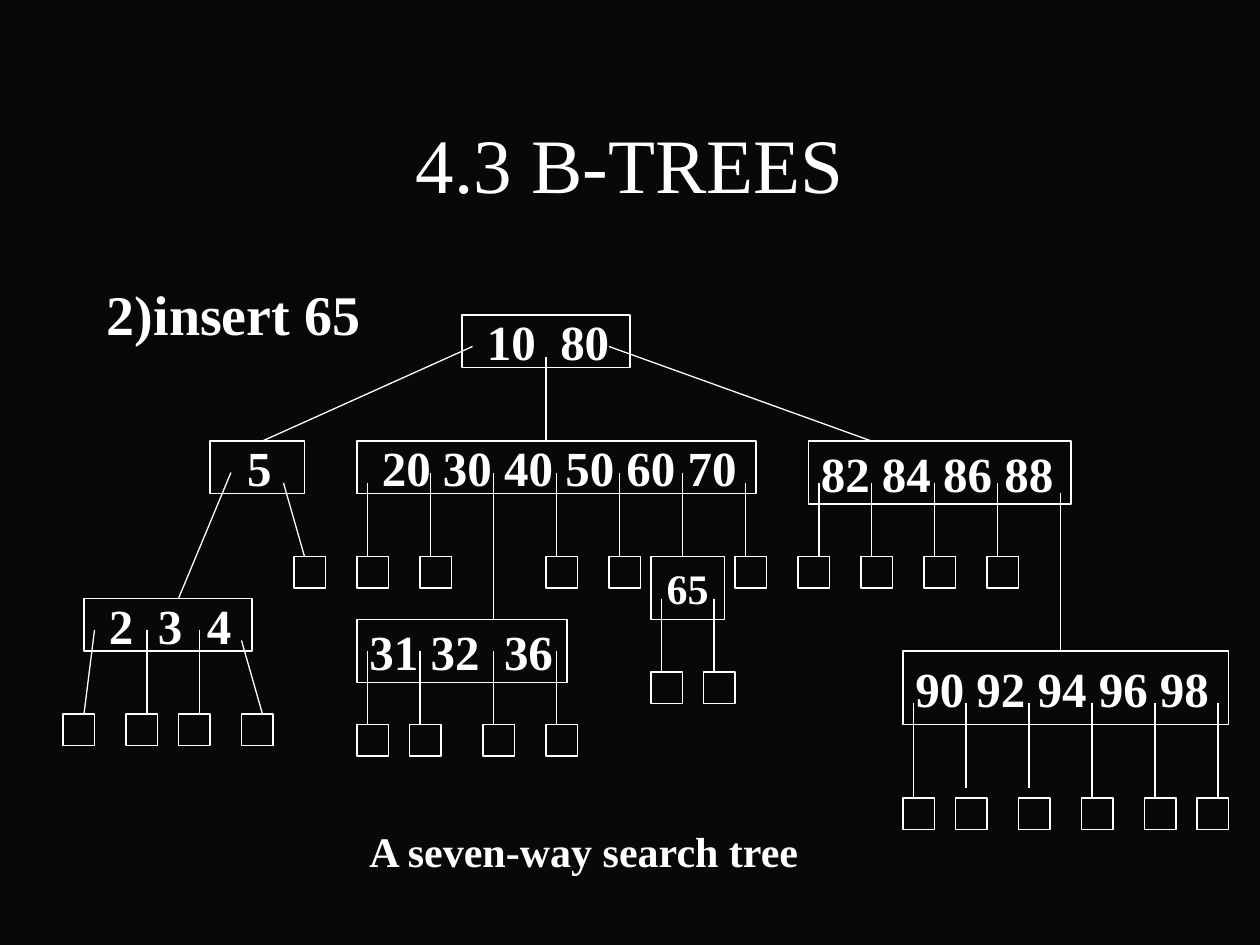
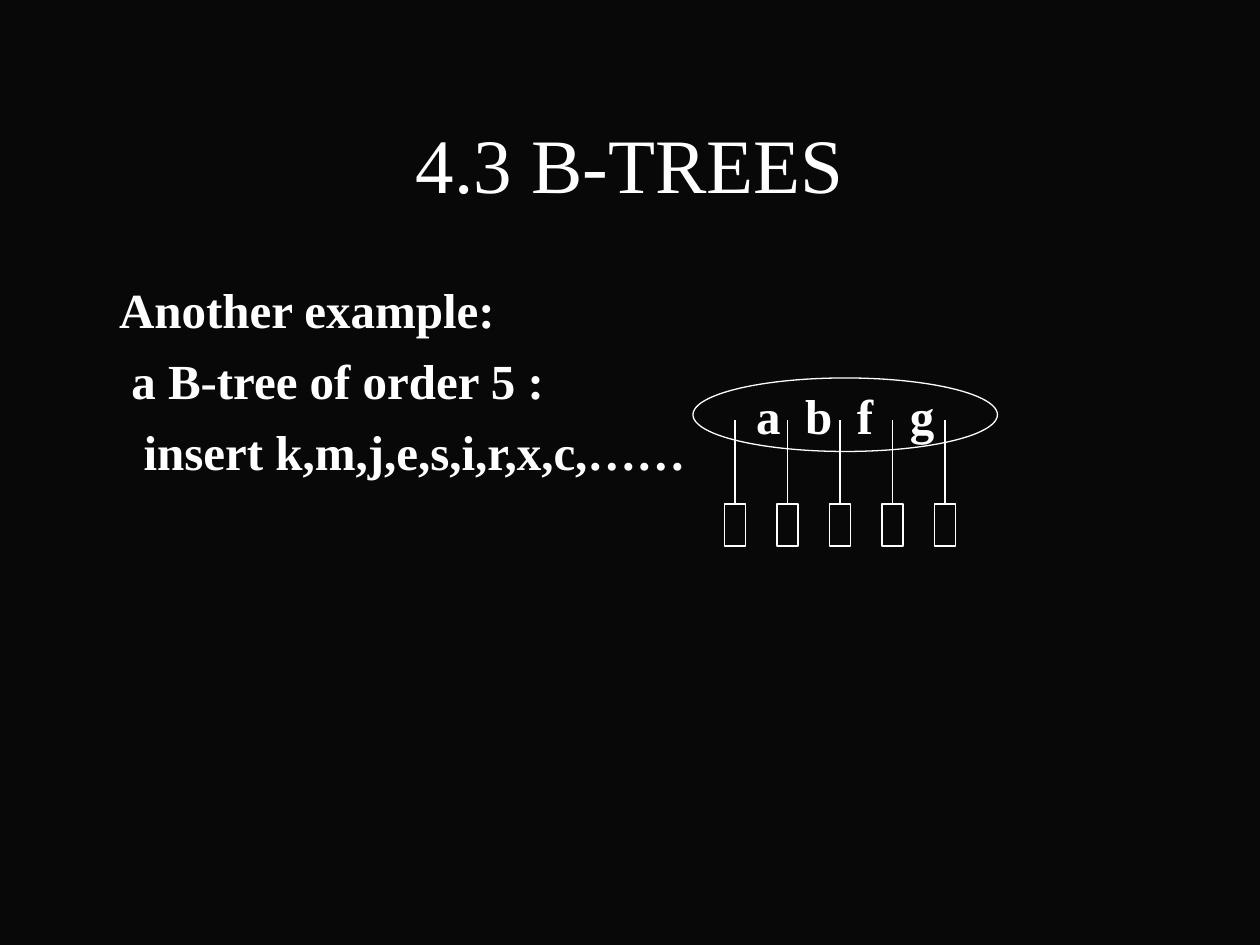
from dataclasses import dataclass
from pptx import Presentation
from pptx.dml.color import RGBColor
from pptx.enum.shapes import MSO_CONNECTOR, MSO_SHAPE
from pptx.enum.text import MSO_ANCHOR, MSO_AUTO_SIZE, PP_ALIGN
from pptx.oxml.ns import qn
from pptx.util import Emu, Inches, Pt
from lxml.etree import SubElement


@dataclass(frozen=True)
class Theme:
    ink: RGBColor = RGBColor(0xFF, 0xFF, 0xFF)
    background: RGBColor = RGBColor(0x08, 0x08, 0x08)
    font: str = "Times New Roman"
    title: int = 44
    heading: int = 32
    key: int = 28
    small: int = 24
    line: float = 0.75


THEME = Theme()
COLUMNS, ROWS = 120, 90
WIDTH, HEIGHT = Inches(10), Inches(7.5)
SPACE = Pt(THEME.key / 4)

TITLE = "4.3 B-TREES"
TITLE_PLACE = (9, 8, 102, 15)
BODY_PLACE = (9, 26, 102, 54)
CAPTION = "A seven-way search tree"
CAPTION_PLACE = (34, 78, 44, 6)

INSERT_LINES = [("2)insert 65", 0)]
EXAMPLE_LINES = [
    ("Another example:", 1),
    ("a B-tree of order 5 :", 2),
    ("insert k,m,j,e,s,i,r,x,c,……", 3),
]

SEARCH_NODES = [
    {"place": (44, 30, 16, 5), "keys": "10 80", "gaps": [2], "lead": 1},
    {"place": (20, 42, 9, 5), "keys": "5", "lead": 2},
    {"place": (34, 42, 38, 5), "keys": "20 30 40 50 60 70", "lead": 1},
    {"place": (77, 42, 25, 6), "keys": "82 84 86 88"},
    {"place": (8, 57, 16, 5), "keys": "2 3 4", "gaps": [2, 2], "lead": 1},
    {"place": (34, 59, 20, 6), "keys": "31 32 36", "gaps": [1, 2]},
    {"place": (62, 53, 7, 6), "keys": "65", "size": THEME.small, "align": PP_ALIGN.CENTER},
    {"place": (86, 62, 31, 7), "keys": "90 92 94 96 98"},
]
SEARCH_LEAVES = {
    53: [28, 34, 40, 52, 58, 70, 76, 82, 88, 94],
    64: [62, 67],
    68: [6, 12, 17, 23],
    69: [34, 39, 46, 52],
    76: [86, 91, 97, 103, 109, 114],
}
LEAF_SIZE = (3, 3)
SEARCH_DROPS = {
    (34, 42): [52],
    (45, 53): [41, 53, 59, 65],
    (46, 53): [35, 71, 78, 83, 89, 95],
    (45, 59): [47],
    (47, 62): [101],
    (57, 64): [63, 68],
    (60, 68): [14, 19],
    (62, 69): [35, 40, 47, 53],
    (67, 75): [92, 98],
    (67, 76): [87, 104, 110, 116],
}
SEARCH_SLANTS = [
    (45, 33, 25, 42),
    (58, 33, 83, 42),
    (22, 45, 17, 57),
    (27, 46, 29, 53),
    (9, 60, 8, 68),
    (23, 61, 25, 68),
]

ORDER_NODE = {
    "place": (66, 36, 29, 7),
    "keys": "a b f g",
    "gaps": [2, 2, 3],
    "align": PP_ALIGN.CENTER,
    "outline": MSO_SHAPE.OVAL,
}
ORDER_CHILDREN = range(70, 95, 5)
ORDER_DROP = (40, 48)
ORDER_LEAF_SIZE = (2, 4)


def grid(*cells):
    units = (WIDTH / COLUMNS, HEIGHT / ROWS)
    return [Emu(round(cell * units[index % 2])) for index, cell in enumerate(cells)]


def style(para, size, bold=True, align=PP_ALIGN.LEFT, before=0):
    para.alignment = align
    para.space_before = Pt(before)
    for span in para.runs:
        span.font.name = THEME.font
        span.font.size = Pt(size)
        span.font.bold = bold
        span.font.color.rgb = THEME.ink


def add_page(deck):
    page = deck.slides.add_slide(deck.slide_layouts[5])
    title = page.shapes.title
    title.left, title.top, title.width, title.height = grid(*TITLE_PLACE)
    frame = title.text_frame
    frame.text = TITLE
    frame.auto_size = MSO_AUTO_SIZE.NONE
    frame.vertical_anchor = MSO_ANCHOR.MIDDLE
    style(frame.paragraphs[0], THEME.title, bold=False, align=PP_ALIGN.CENTER)
    return page


def add_text(page, place, lines, size, before):
    frame = page.shapes.add_textbox(*grid(*place)).text_frame
    frame.word_wrap = True
    for index, (text, lead) in enumerate(lines):
        para = frame.add_paragraph() if index else frame.paragraphs[0]
        para.text = text
        style(para, size, before=before)
        para._p.get_or_add_pPr().set("marL", str(SPACE * lead))


def add_outline(page, place, kind=MSO_SHAPE.RECTANGLE):
    box = page.shapes.add_shape(kind, *grid(*place))
    box.shadow.inherit = False
    box.fill.background()
    box.line.color.rgb = THEME.ink
    box.line.width = Pt(THEME.line)
    return box


def add_node(page, place, keys, gaps=None, lead=0, size=THEME.key,
             align=PP_ALIGN.LEFT, outline=MSO_SHAPE.RECTANGLE):
    frame = add_outline(page, place, outline).text_frame
    frame.word_wrap = False
    frame.vertical_anchor = MSO_ANCHOR.MIDDLE
    frame.margin_left = Inches(0.1) + SPACE * lead
    para = frame.paragraphs[0]
    names = keys.split()
    gaps = gaps or [1] * (len(names) - 1)
    for index, name in enumerate(names):
        if index:
            gap = para.add_run()
            gap.text = " "
            extra = (gaps[index - 1] - 1) * SPACE.pt * 100
            gap._r.get_or_add_rPr().set("spc", str(round(extra)))
        para.add_run().text = name
    style(para, size, align=align, before=size // 4)


def add_link(page, *ends):
    link = page.shapes.add_connector(MSO_CONNECTOR.STRAIGHT, *grid(*ends))
    link.line.color.rgb = THEME.ink
    link.line.width = Pt(THEME.line)
    SubElement(link._element.spPr, qn("a:effectLst"))


def build_search_tree(deck):
    page = add_page(deck)
    add_text(page, BODY_PLACE, INSERT_LINES, THEME.heading, 8)
    for node in SEARCH_NODES:
        add_node(page, **node)
    for top, lefts in SEARCH_LEAVES.items():
        for left in lefts:
            add_outline(page, (left, top, *LEAF_SIZE))
    for (top, bottom), columns in SEARCH_DROPS.items():
        for column in columns:
            add_link(page, column, top, column, bottom)
    for ends in SEARCH_SLANTS:
        add_link(page, *ends)
    add_text(page, CAPTION_PLACE, [(CAPTION, 0)], THEME.small, 15)


def build_order_example(deck):
    page = add_page(deck)
    add_text(page, BODY_PLACE, EXAMPLE_LINES, THEME.key, 7)
    add_node(page, **ORDER_NODE)
    top, bottom = ORDER_DROP
    for column in ORDER_CHILDREN:
        add_link(page, column, top, column, bottom)
        add_outline(page, (column - ORDER_LEAF_SIZE[0] / 2, bottom, *ORDER_LEAF_SIZE))


def main():
    deck = Presentation()
    deck.slide_width, deck.slide_height = WIDTH, HEIGHT
    fill = deck.slide_master.background.fill
    fill.solid()
    fill.fore_color.rgb = THEME.background
    build_search_tree(deck)
    build_order_example(deck)
    deck.save("out.pptx")


if __name__ == "__main__":
    main()
